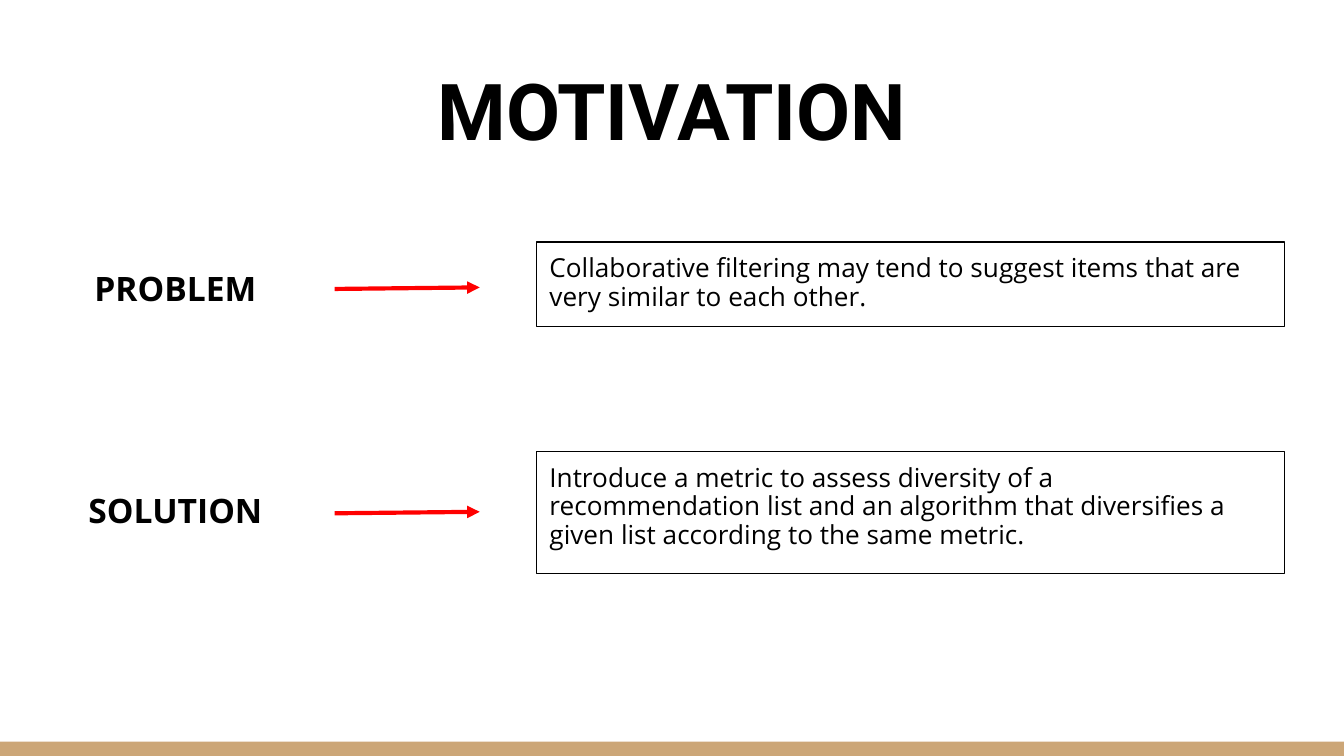
"""Build the motivation slide: problem and solution, each with an arrow to its statement."""
from lxml import etree
from pptx import Presentation
from pptx.dml.color import RGBColor
from pptx.enum import shapes, text
from pptx.oxml import ns
from pptx.util import Pt


def color(hex_string):
    return RGBColor.from_string(hex_string)


def add_run(paragraph, words, font, size, bold=False):
    run = paragraph.add_run()
    run.text = words
    run.font.name = font
    run.font.size = Pt(size)
    run.font.bold = bold
    run.font.color.rgb = color("000000")


deck = Presentation()
deck.slide_width, deck.slide_height = Pt(720), Pt(405)
slide = deck.slides.add_slide(deck.slide_layouts[5])

band = slide.shapes.add_shape(shapes.MSO_SHAPE.RECTANGLE, Pt(0), Pt(397.4), Pt(720), Pt(7.6))
band.shadow.inherit = False
band.fill.solid()
band.fill.fore_color.rgb = color("CCA677")
band.line.fill.background()

heading = slide.shapes.title
heading.left, heading.top, heading.width, heading.height = Pt(24.5), Pt(25.2), Pt(671), Pt(65.5)
labels = slide.shapes.add_textbox(Pt(24.5), Pt(136.2), Pt(139), Pt(170))
statements = [
    ("PROBLEM", 129.6, 45.4, 154.8,
     "Collaborative filtering may tend to suggest items that are very similar to each other."),
    ("SOLUTION", 241.9, 65.5, 275,
     "Introduce a metric to assess diversity of a recommendation list and an algorithm "
     "that diversifies a given list according to the same metric."),
]
boxes = []

for index, (label, top, height, arrow_y, statement) in enumerate(statements):
    if index:
        label_line = labels.text_frame.add_paragraph()
        label_line.space_before = Pt(97.5)
    else:
        label_line = labels.text_frame.paragraphs[0]
    label_line.alignment = text.PP_ALIGN.CENTER
    add_run(label_line, label, "Open Sans", 18, True)

    arrow = slide.shapes.add_connector(
        shapes.MSO_CONNECTOR.STRAIGHT, Pt(179.3), Pt(arrow_y), Pt(257), Pt(arrow_y - 0.8))
    arrow.line.color.rgb = color("FF0000")
    arrow.line.width = Pt(2.25)
    etree.SubElement(arrow.line._get_or_add_ln(), ns.qn("a:tailEnd"), type="triangle")
    etree.SubElement(arrow._element.spPr, ns.qn("a:effectLst"))

    box = slide.shapes.add_shape(
        shapes.MSO_SHAPE.RECTANGLE, Pt(287.3), Pt(top), Pt(401), Pt(height))
    box.shadow.inherit = False
    box.fill.background()
    box.line.color.rgb = color("000000")
    box.line.width = Pt(0.75)
    statement_line = box.text_frame.paragraphs[0]
    statement_line.alignment = text.PP_ALIGN.LEFT
    statement_line.line_spacing = 0.9
    add_run(statement_line, statement, "Open Sans", 14)
    boxes.append(box)

title_line = heading.text_frame.paragraphs[0]
title_line.alignment = text.PP_ALIGN.CENTER
add_run(title_line, "MOTIVATION", "Roboto", 42, True)

for holder in [heading, labels, *boxes]:
    frame = holder.text_frame
    frame.word_wrap = True
    frame.auto_size = text.MSO_AUTO_SIZE.NONE
    frame.vertical_anchor = text.MSO_ANCHOR.BOTTOM if holder is heading else text.MSO_ANCHOR.TOP
    frame.margin_left = frame.margin_right = frame.margin_top = frame.margin_bottom = Pt(7.2)

deck.save("out.pptx")
